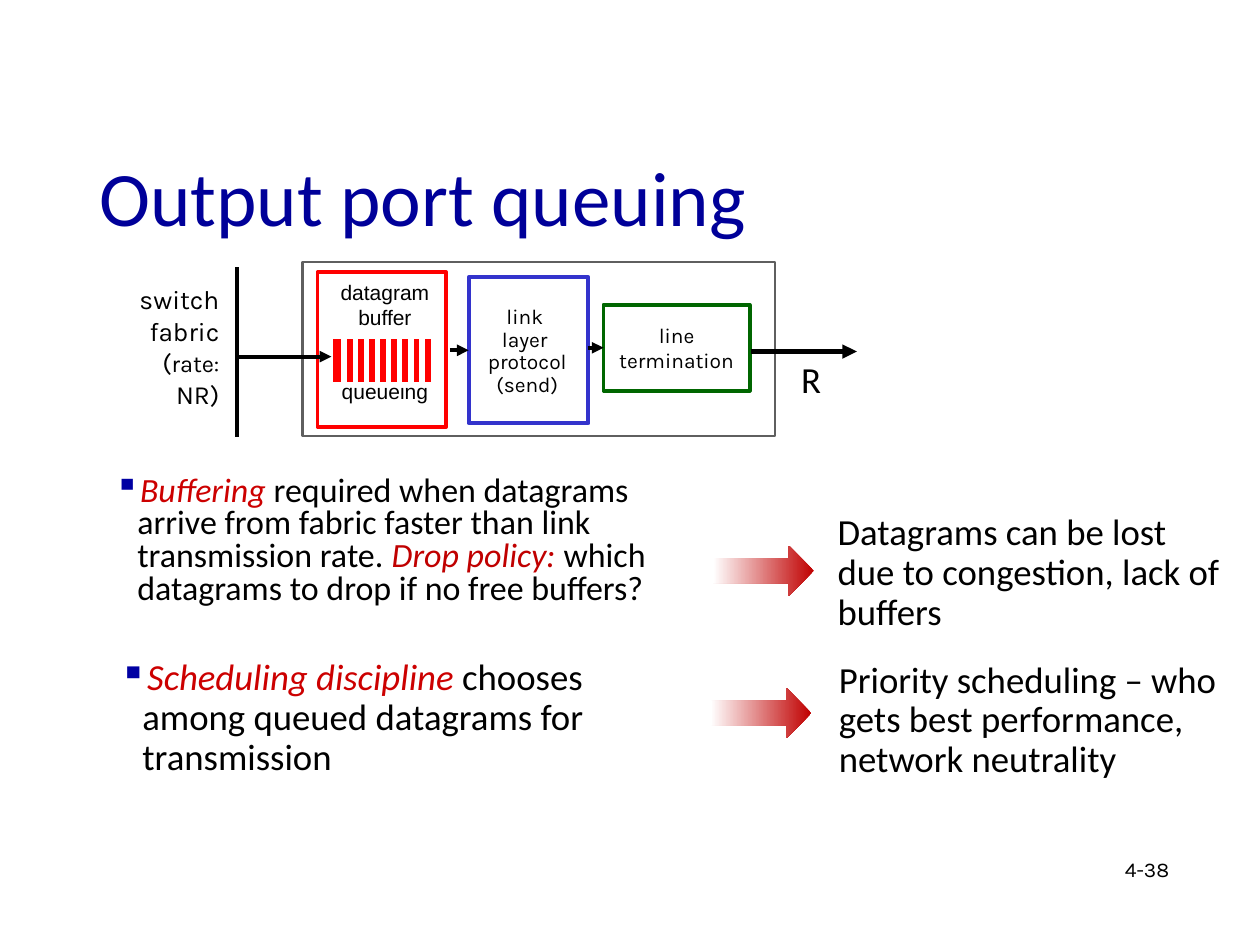
from lxml.etree import SubElement
from pptx import Presentation
from pptx.dml.color import RGBColor
from pptx.enum.shapes import MSO_CONNECTOR, MSO_SHAPE
from pptx.enum.text import MSO_ANCHOR, PP_ALIGN
from pptx.oxml.ns import qn
from pptx.util import Inches, Pt

BLACK, WHITE, RED = "000000", "FFFFFF", "FF0000"
EMPHASIS, DARK_RED = "CC0000", "C00000"


def color(value):
    return RGBColor.from_string(value)


class SlideBuilder:
    body_font = "Calibri"
    label_font = "Karla"
    title_color = "000099"
    bullet_color = "0000A3"

    def __init__(self, deck):
        self.slide = deck.slides.add_slide(deck.slide_layouts[6])

    def text(self, left, top, width, height, lines, size, font=body_font,
             ink=BLACK, align=PP_ALIGN.LEFT, anchor=MSO_ANCHOR.TOP,
             wrap=True, spacing=1.0):
        box = self.slide.shapes.add_textbox(
            Inches(left), Inches(top), Inches(width), Inches(height))
        frame = box.text_frame
        frame.word_wrap = wrap
        frame.vertical_anchor = anchor
        frame.text = "\n".join(lines)
        for para in frame.paragraphs:
            para.alignment = align
            para.line_spacing = spacing
            para.font.size = Pt(size)
            para.font.name = font
            para.font.color.rgb = color(ink)
        return box

    def bullet(self, left, top, width, height, spans, size, spacing):
        """Add one bulleted paragraph; each span is (text, emphasis colour or None)."""
        box = self.text(left, top, width, height, [""], size, spacing=spacing)
        frame = box.text_frame
        frame.margin_left = frame.margin_right = Inches(0.07)
        frame.margin_top = frame.margin_bottom = Inches(0.04)
        para = frame.paragraphs[0]
        properties = para._p.get_or_add_pPr()
        properties.set("marL", str(Inches(0.29)))
        properties.set("indent", str(Inches(-0.18)))
        marker_color = properties.makeelement(qn("a:buClr"), {})
        SubElement(marker_color, qn("a:srgbClr"), val=self.bullet_color)
        marker = properties.makeelement(qn("a:buChar"), {"char": "▪"})
        default_run = properties.find(qn("a:defRPr"))
        default_run.addprevious(marker_color)
        default_run.addprevious(marker)
        for words, emphasis in spans:
            span = para.add_run()
            span.text = words
            if emphasis:
                span.font.italic = True
                span.font.color.rgb = color(emphasis)

    def rectangle(self, left, top, width, height, outline, weight, fill=WHITE):
        shape = self.slide.shapes.add_shape(
            MSO_SHAPE.RECTANGLE,
            Inches(left), Inches(top), Inches(width), Inches(height))
        shape.shadow.inherit = False
        shape.fill.solid()
        shape.fill.fore_color.rgb = color(fill)
        shape.line.color.rgb = color(outline)
        shape.line.width = Pt(weight)
        return shape

    def fading_arrow(self, left, top):
        arrow = self.slide.shapes.add_shape(
            MSO_SHAPE.RIGHT_ARROW,
            Inches(left), Inches(top), Inches(0.8), Inches(0.4))
        arrow.shadow.inherit = False
        arrow.line.fill.background()
        arrow.fill.gradient()
        arrow.fill.gradient_angle = 180
        for stop, position, tint in zip(
                arrow.fill.gradient_stops, (0, 1), (DARK_RED, WHITE)):
            stop.position = position
            stop.color.rgb = color(tint)

    def line(self, start, end, weight=2.25, ink=BLACK, arrow=False):
        connector = self.slide.shapes.add_connector(
            MSO_CONNECTOR.STRAIGHT, *map(Inches, start + end))
        connector.line.color.rgb = color(ink)
        connector.line.width = Pt(weight)
        if arrow:
            SubElement(connector.line._get_or_add_ln(), qn("a:tailEnd"),
                       type="triangle")
        SubElement(connector._element.spPr, qn("a:effectLst"))
        return connector

    def label(self, left, top, width, height, lines, size=12,
              align=PP_ALIGN.CENTER, spacing=1.0):
        return self.text(left, top, width, height, lines, size, self.label_font,
                         align=align, anchor=MSO_ANCHOR.MIDDLE, wrap=False,
                         spacing=spacing)


def draw_output_port(page):
    page.rectangle(2.4, 2.08, 3.75, 1.38, "5F5F5F", 1.5)
    termination = page.rectangle(4.79, 2.42, 1.16, 0.68, "006600", 2.25)
    protocol = page.rectangle(3.72, 2.2, 0.95, 1.16, "3333CC", 2.25)
    page.rectangle(2.52, 2.16, 1.02, 1.23, RED, 2.25)

    page.label(4.79, 2.42, 1.16, 0.68, ["line", "termination"])
    page.label(3.75, 2.45, 0.87, 0.68,
               ["link ", "layer ", "protocol", "(send)"], spacing=0.9)
    fabric = page.label(0.97, 2.41, 0.87, 0.68, ["switch", "fabric", "("],
                        size=15, align=PP_ALIGN.RIGHT)
    rate_line = fabric.text_frame.paragraphs[2]
    rate = rate_line.add_run()
    rate.text = "rate: "
    rate.font.size = Pt(13.5)
    rate_line.add_run().text = "NR)"

    buffer_text = page.text(2.6, 2.17, 0.91, 1.11,
                            ["datagram", "buffer", "queueing"], 12, "Arial",
                            align=PP_ALIGN.CENTER, wrap=False)
    buffer_text.text_frame.paragraphs[2].space_before = Pt(27.6)

    page.rectangle(2.62, 2.67, 0.82, 0.38, WHITE, 3, fill=RED)
    gap_count, first_gap, last_gap = 8, 2.73, 3.35
    pitch = (last_gap - first_gap) / (gap_count - 1)
    for index in range(gap_count):
        x = first_gap + index * pitch
        page.line((x, 2.68), (x, 3.04), 3, WHITE)

    page.line((3.57, 2.78), (3.72, 2.78), arrow=True).end_connect(protocol, 1)
    page.line((4.67, 2.76), (4.79, 2.76), arrow=True).end_connect(termination, 1)
    page.line((1.88, 2.12), (1.88, 3.47))
    page.line((1.87, 2.83), (2.63, 2.83), arrow=True)
    page.line((5.96, 2.79), (6.8, 2.79), 2.75, arrow=True)
    page.text(6.26, 2.78, 0.26, 0.45, ["R"], 21)


def main():
    deck = Presentation()
    deck.slide_width, deck.slide_height = Inches(10), Inches(7.5)
    page = SlideBuilder(deck)

    page.text(0.69, 1.19, 8.62, 0.73, ["Output port queuing"], 44,
              ink=page.title_color, anchor=MSO_ANCHOR.MIDDLE)
    page.bullet(0.73, 3.74, 4.9, 1.16, [
        ("Buffering", EMPHASIS),
        (" required when datagrams arrive from fabric faster than link"
         " transmission rate. ", None),
        ("Drop policy: ", DARK_RED),
        ("which datagrams to drop if no free buffers?", None),
    ], 19.4, 0.8)
    page.bullet(0.77, 5.19, 4.21, 1.06, [
        ("Scheduling discipline", EMPHASIS),
        (" chooses among queued datagrams for transmission", None),
    ], 21, 0.9)

    page.text(6.55, 4.03, 3.24, 1.06,
              ["Datagrams can be lost due to congestion, lack of buffers"],
              21, spacing=0.9)
    page.fading_arrow(5.66, 4.33)
    page.text(6.56, 5.2, 3.44, 1.06,
              ["Priority scheduling – who gets best performance,"
               " network neutrality"], 21, spacing=0.9)
    page.fading_arrow(5.64, 5.46)

    draw_output_port(page)
    page.text(8.83, 6.75, 0.61, 0.3, ["4-38"], 12, page.label_font)
    deck.save("out.pptx")


if __name__ == "__main__":
    main()
